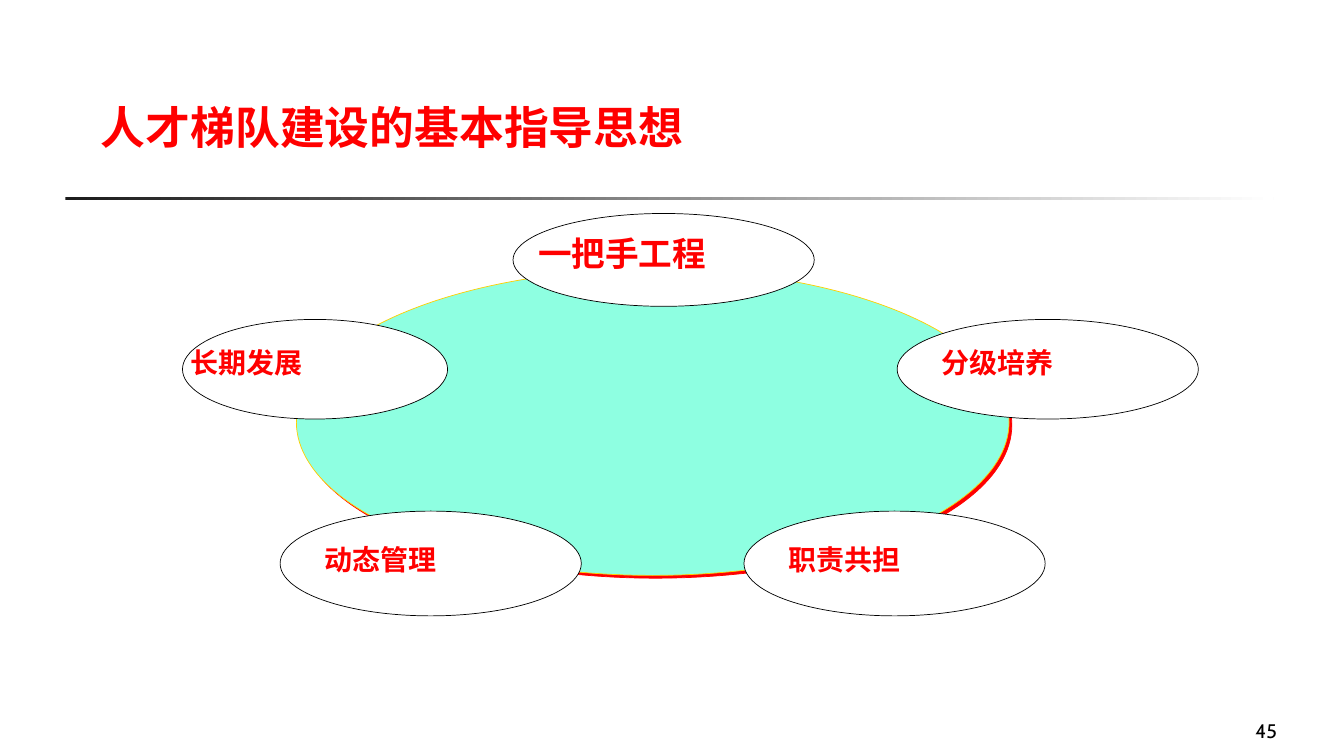
from lxml.etree import SubElement
from pptx import Presentation
from pptx.dml.color import RGBColor
from pptx.enum.shapes import MSO_SHAPE
from pptx.enum.text import MSO_ANCHOR, PP_ALIGN
from pptx.oxml.ns import qn
from pptx.util import Cm, Pt

CJK = "Noto Sans CJK SC"
RED, BLACK, WHITE = "FF0000", "000000", "FFFFFF"

# label, ellipse (left, top, width, height), text (left, middle), size, line spacing
IDEAS = [
    ("长期发展", (4.6, 8.05, 6.68, 2.51), (4.8, 9.14), 20, 1),
    ("动态管理", (7.06, 12.88, 7.59, 2.64), (8.18, 14.1), 20, 1),
    ("一把手工程", (12.93, 5.38, 7.59, 2.34), (13.56, 6.3), 24, 1.15),
    ("分级培养", (22.61, 8.05, 7.59, 2.51), (23.73, 9.14), 20, 1),
    ("职责共担", (18.75, 12.88, 7.59, 2.64), (19.86, 14.1), 20, 1),
]


def color(value):
    return RGBColor.from_string(value)


def place(sp, left, top, width, height):
    sp.left, sp.top, sp.width, sp.height = map(Cm, (left, top, width, height))


def write(sp, text, size, hue, font=CJK, bold=True, anchor=MSO_ANCHOR.MIDDLE,
          align=PP_ALIGN.LEFT, spacing=1):
    tf = sp.text_frame
    tf.text = text
    tf.word_wrap = True
    tf.vertical_anchor = anchor
    tf.margin_left = tf.margin_right = tf.margin_top = tf.margin_bottom = 0
    p = tf.paragraphs[0]
    p.alignment = align
    p.line_spacing = spacing
    r = p.runs[0]
    r.font.size, r.font.bold, r.font.name = Pt(size), bold, font
    r.font.color.rgb = color(hue)
    SubElement(r.font._element, qn("a:ea"), typeface=font)


def add_text(s, box, text, size, hue, **style):
    write(s.shapes.add_textbox(*map(Cm, box)), text, size, hue, **style)


def add_ellipse(s, box, fill, line):
    sp = s.shapes.add_shape(MSO_SHAPE.OVAL, *map(Cm, box))
    sp.shadow.inherit = False
    sp.fill.solid()
    sp.fill.fore_color.rgb = color(fill)
    sp.line.color.rgb = color(line)
    sp.line.width = Pt(0.5)
    return sp


def add_hard_shadow(sp, hue, distance, degrees):
    effects = sp._element.spPr.find(qn("a:effectLst"))
    shadow = SubElement(effects, qn("a:outerShdw"), dist=str(Pt(distance)),
                        dir=str(degrees * 60000), algn="ctr", rotWithShape="0")
    SubElement(shadow, qn("a:srgbClr"), val=hue)


def add_fading_rule(s, box, start, end):
    sp = s.shapes.add_shape(MSO_SHAPE.RECTANGLE, *map(Cm, box))
    sp.shadow.inherit = False
    sp.line.fill.background()
    sp.fill.gradient()
    sp.fill.gradient_angle = 0
    for stop, hue in zip(sp.fill.gradient_stops, (start, end)):
        stop.color.rgb = color(hue)


def main():
    prs = Presentation()
    prs.slide_width, prs.slide_height = Cm(33.87), Cm(19.05)
    s = prs.slides.add_slide(prs.slide_layouts[5])

    # Title and rule below it
    title = s.shapes.title
    place(title, 2.54, 2.51, 23.29, 1.83)
    write(title, "人才梯队建设的基本指导思想", 32, RED, anchor=MSO_ANCHOR.TOP)
    add_fading_rule(s, (1.65, 4.96, 30.45, 0.09), "1C1C1C", WHITE)

    # Central ellipse
    ring = add_ellipse(s, (7.47, 6.78, 17.96, 7.72), "8EFFE1", "FFCF01")
    add_hard_shadow(ring, RED, 2.8, 45)

    # Guiding ideas around it
    for label, box, (left, middle), size, spacing in IDEAS:
        add_ellipse(s, box, WHITE, BLACK)
        add_text(s, (left, middle - 0.5, 6, 1), label, size, RED, spacing=spacing)

    # Page number
    add_text(s, (25.12, 17.58, 7.06, 1.14), "45", 14, BLACK, font="Cabin",
             bold=False, anchor=MSO_ANCHOR.BOTTOM, align=PP_ALIGN.RIGHT)

    prs.save("out.pptx")


if __name__ == "__main__":
    main()
